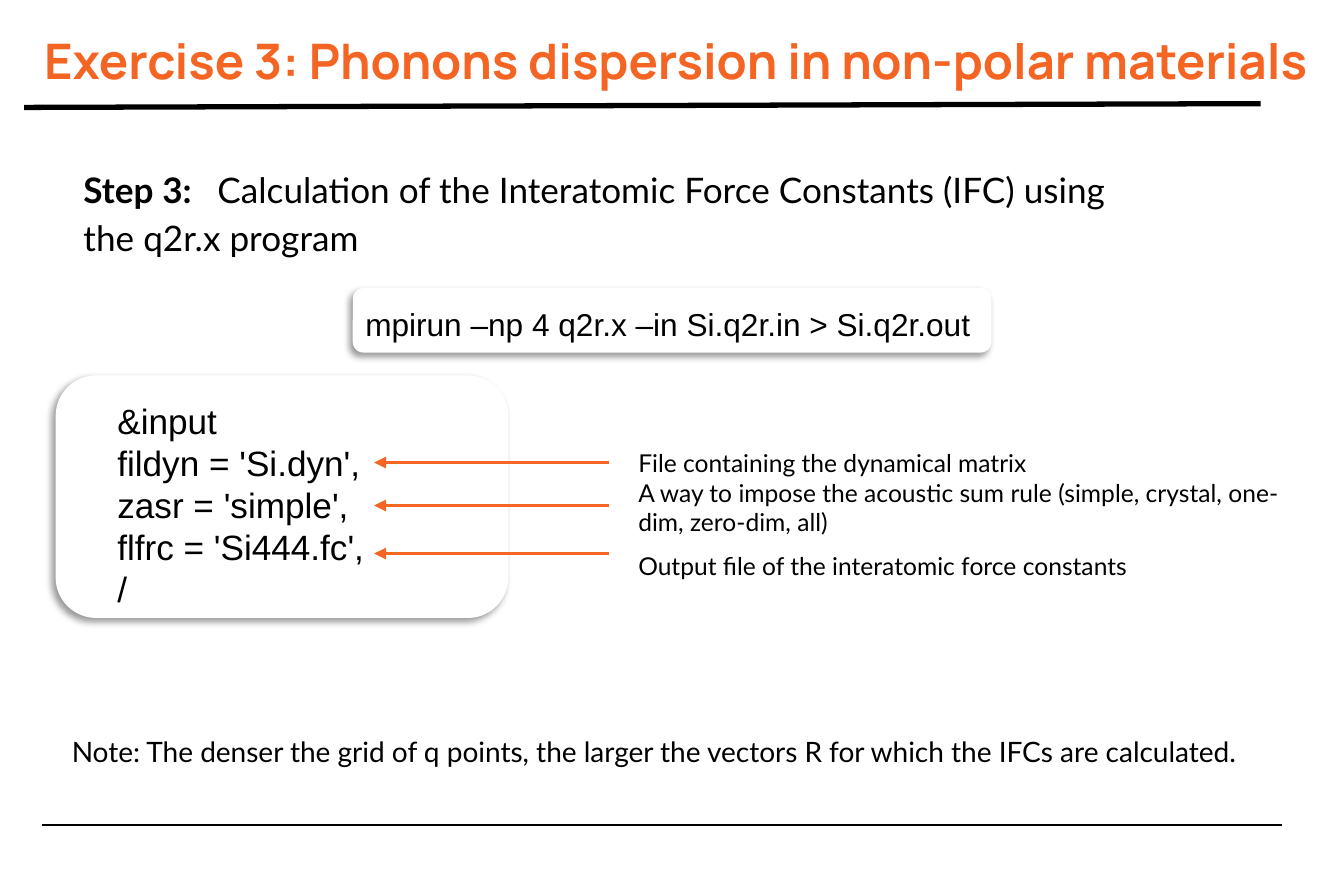
from lxml import etree
from pptx import Presentation
from pptx.dml.color import RGBColor
from pptx.enum.shapes import MSO_CONNECTOR, MSO_SHAPE
from pptx.enum.text import MSO_ANCHOR
from pptx.oxml.ns import qn
from pptx.util import Inches, Pt

BLACK = RGBColor(0x00, 0x00, 0x00)
WHITE = RGBColor(0xFF, 0xFF, 0xFF)
TITLE_ORANGE = RGBColor(0xF4, 0x65, 0x24)
ARROW_ORANGE = RGBColor(0xF5, 0x65, 0x24)
SIDES = "left", "top", "right", "bottom"
PAD_X, PAD_Y, WIDE_PAD = 0.1, 0.05, 0.11


def part(box, x, y, w, h):
    """Box inside another box, given in percent of its size."""
    left, top, width, height = box
    return (int(left + width * x / 100), int(top + height * y / 100),
            int(width * w / 100), int(height * h / 100))


def add_text(s, box, paragraphs, size, font, color=BLACK, bold=False,
             pads=(PAD_X, PAD_Y, PAD_X, PAD_Y), spacing=None, wrap=True):
    """Each paragraph is a string or a list of (text, bold) runs."""
    tf = s.shapes.add_textbox(*box).text_frame
    tf.word_wrap = wrap
    tf.vertical_anchor = MSO_ANCHOR.TOP
    for side, pad in zip(SIDES, pads):
        setattr(tf, f"margin_{side}", Inches(pad))
    for i, runs in enumerate(paragraphs):
        p = tf.add_paragraph() if i else tf.paragraphs[0]
        if spacing:
            p.line_spacing = spacing[i]
        for text, strong in [(runs, bold)] if isinstance(runs, str) else runs:
            r = p.add_run()
            r.text = text
            formats = {"size": Pt(size), "name": font, "bold": strong}
            for name, value in formats.items():
                setattr(r.font, name, value)
            r.font.color.rgb = color
    return tf


def add_line(s, box, start, end, color, width, arrow=False):
    x1, y1, _, _ = part(box, *start, 0, 0)
    x2, y2, _, _ = part(box, *end, 0, 0)
    line = s.shapes.add_connector(MSO_CONNECTOR.STRAIGHT, x1, y1, x2, y2)
    line.line.color.rgb = color
    line.line.width = Pt(width)
    if arrow:
        etree.SubElement(line.line._get_or_add_ln(), qn("a:tailEnd"), type="triangle")
    etree.SubElement(line._element.spPr, qn("a:effectLst"))


def add_panel(s, box):
    """White rounded panel with a soft shadow to the lower left."""
    sp = s.shapes.add_shape(MSO_SHAPE.ROUNDED_RECTANGLE, *box)
    sp.shadow.inherit = False
    sp.fill.solid()
    sp.fill.fore_color.rgb = WHITE
    sp.line.fill.background()
    effects = sp._element.spPr.find(qn("a:effectLst"))
    shadow = etree.SubElement(effects, qn("a:outerShdw"), blurRad=str(Pt(4)),
                              dist=str(Pt(3)), dir=str(135 * 60000),
                              algn="tr", rotWithShape="0")
    black = etree.SubElement(shadow, qn("a:srgbClr"), val=str(BLACK))
    etree.SubElement(black, qn("a:alpha"), val="40000")


def add_frame(s, box):
    # Title between the slide's two rules
    add_line(s, box, (1.79, 11.99), (93.79, 11.57), BLACK, 3)
    add_line(s, box, (3.1, 92.1), (95.39, 92.1), BLACK, 1.5)
    add_text(s, part(box, 2.26, 1.83, 96.71, 12.41),
             ["Exercise 3: Phonons dispersion in non-polar materials"],
             27.9, "Manrope", TITLE_ORANGE, True, (WIDE_PAD,) * 4, wrap=False)


def add_step(s, box):
    tf = add_text(s, box,
                  [[("Step 3:\t", True),
                    ("Calculation of the Interatomic Force Constants (IFC) using", False)],
                   "the q2r.x program"],
                  20, "Lato", pads=(2 * WIDE_PAD, WIDE_PAD, WIDE_PAD, WIDE_PAD),
                  spacing=(1.15, 1.15))
    # Tab stop between the step label and its description
    tabs = etree.SubElement(tf.paragraphs[0]._p.get_or_add_pPr(), qn("a:tabLst"))
    etree.SubElement(tabs, qn("a:tab"), pos=str(Inches(1.06)), algn="l")


def add_command(s, box):
    add_panel(s, box)
    add_text(s, part(box, 0, 16, 105, 78),
             ["mpirun –np 4 q2r.x –in Si.q2r.in > Si.q2r.out"], 18, "Arial")


def add_input_file(s, box):
    # Input listing
    add_panel(s, part(box, 0, 0, 36.27, 100))
    add_text(s, part(box, 3.95, 7.3, 30.7, 92.7),
             ["&input", "fildyn = 'Si.dyn',", "zasr = 'simple',",
              "flfrc = 'Si444.fc',", "/"], 20, "Arial")
    # Explanations, each with an arrow to its line
    add_text(s, part(box, 45.69, 21.35, 54.31, 78.65),
             ["File containing the dynamical matrix",
              "A way to impose the acoustic sum rule (simple, crystal, one-dim, zero-dim, all)",
              "Output file of the interatomic force constants"],
             14, "Lato", spacing=(1.5, 1, 1.5))
    for y in (35.94, 53.65, 73.44):
        add_line(s, box, (44.38, y), (25.53, y), ARROW_ORANGE, 2.25, arrow=True)


def add_note(s, box):
    add_text(s, box,
             ["Note: The denser the grid of q points, the larger the vectors R "
              "for which the IFCs are calculated."], 16, "Lato")


def main():
    prs = Presentation()
    prs.slide_width, prs.slide_height = Inches(10.63), Inches(7.09)
    s = prs.slides.add_slide(prs.slide_layouts[6])
    page = (0, 0, prs.slide_width, prs.slide_height)
    add_frame(s, page)
    add_step(s, part(page, 4.14, 16.5, 93.98, 14.39))
    add_command(s, part(page, 26.25, 32.16, 47.51, 7.19))
    add_input_file(s, part(page, 4.14, 41.89, 92.85, 27.08))
    add_note(s, part(page, 4.42, 81.24, 91.06, 5.22))
    prs.save("out.pptx")


if __name__ == "__main__":
    main()
